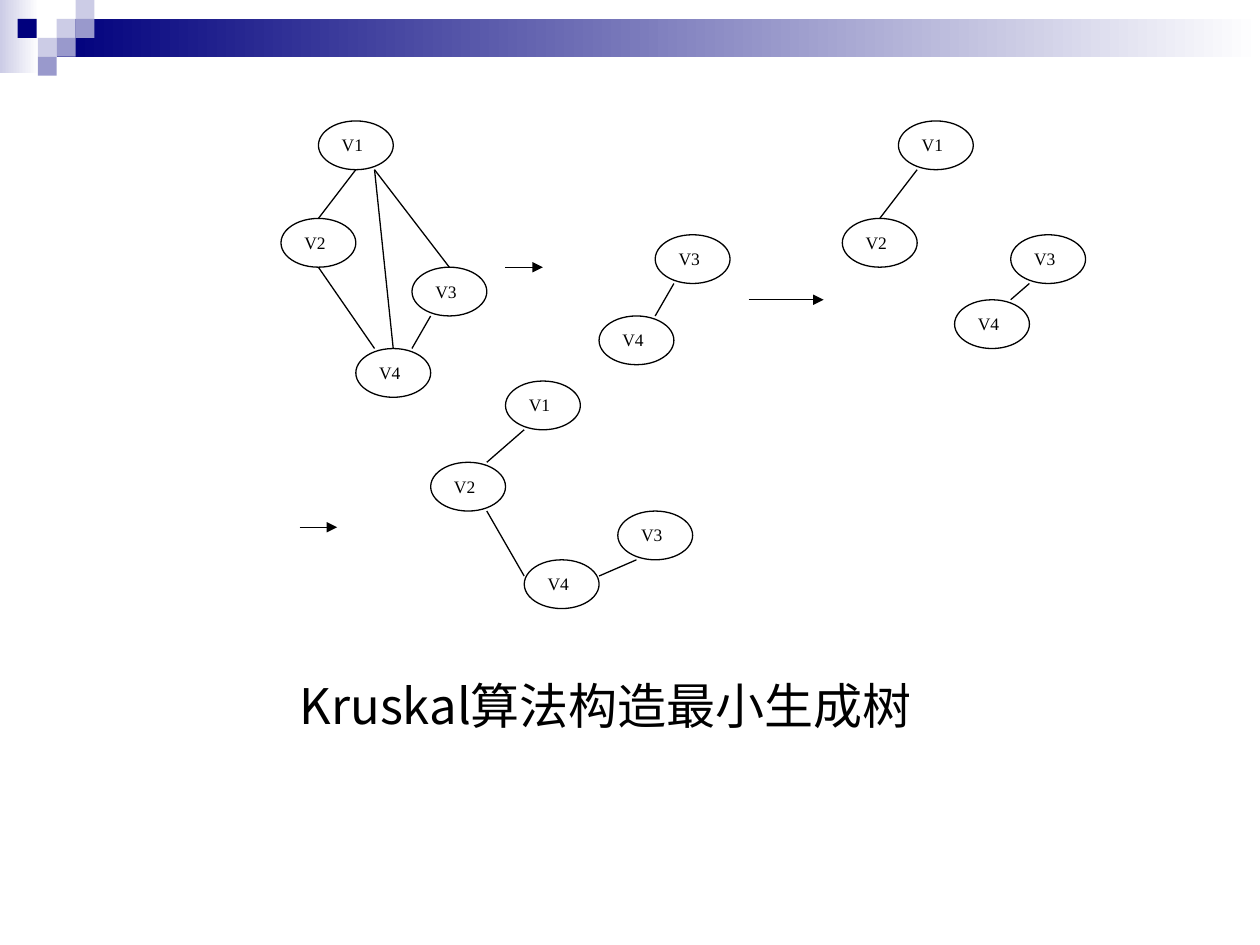
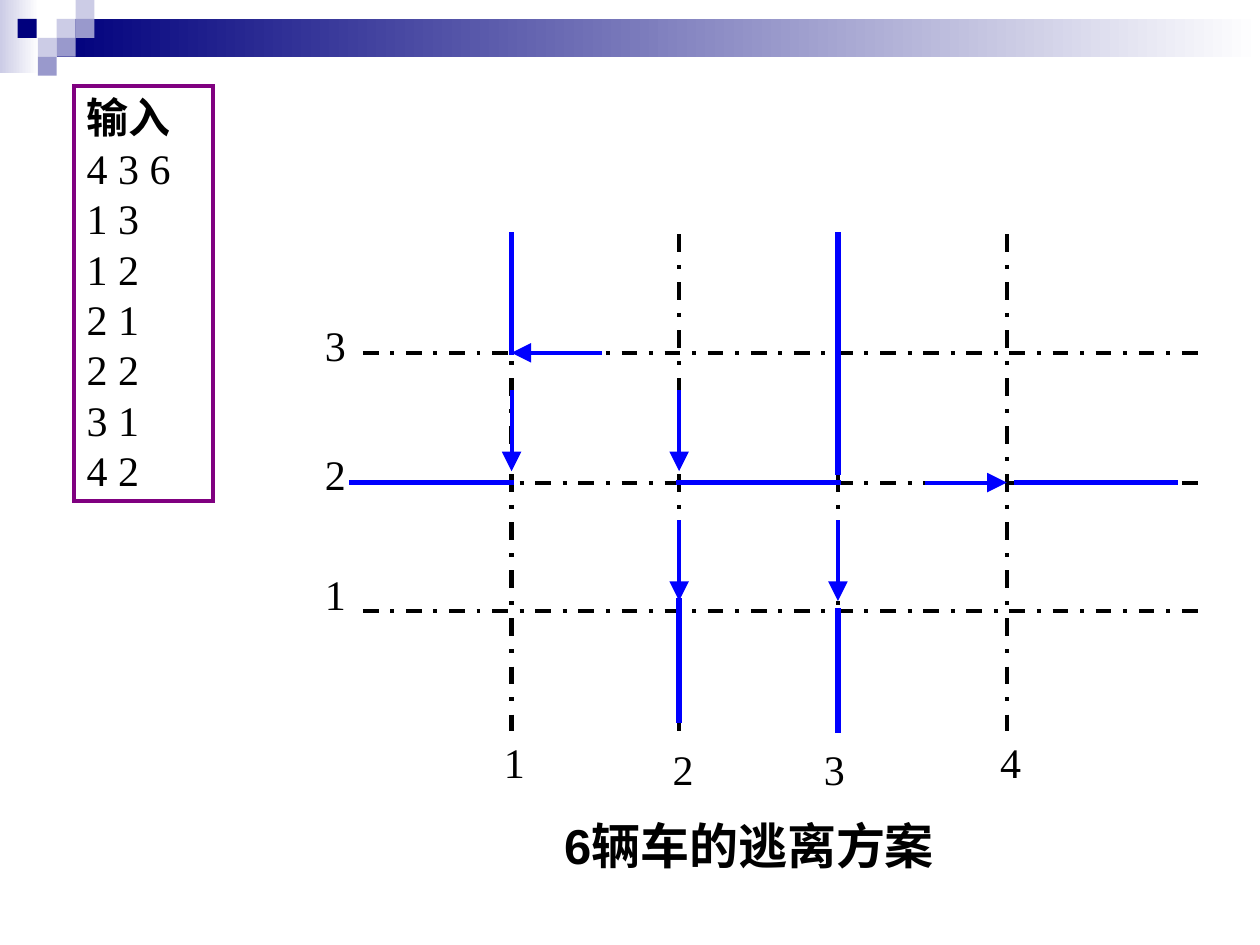
from lxml import etree
from pptx import Presentation
from pptx.dml.color import RGBColor
from pptx.enum.dml import MSO_LINE
from pptx.enum.shapes import MSO_CONNECTOR, MSO_SHAPE
from pptx.enum.text import MSO_ANCHOR, MSO_AUTO_SIZE, PP_ALIGN
from pptx.oxml.ns import qn
from pptx.util import Inches, Pt

RECTANGLE = MSO_SHAPE.RECTANGLE
OVAL = MSO_SHAPE.OVAL
STRAIGHT = MSO_CONNECTOR.STRAIGHT
DASH_DOT = MSO_LINE.DASH_DOT
TOP, MIDDLE = MSO_ANCHOR.TOP, MSO_ANCHOR.MIDDLE
LEFT, CENTER, JUSTIFY = PP_ALIGN.LEFT, PP_ALIGN.CENTER, PP_ALIGN.JUSTIFY
NO_FIT = MSO_AUTO_SIZE.NONE

COLORS = {
    "white": "FFFFFF",
    "text": "000000",
    "navy": "00007D",
    "lilac": "9999CC",
    "pale": "CCCCE6",
    "route": "0000FF",
    "frame": "800080",
}
SERIF, SANS, CHINESE = "Times New Roman", "Arial", "Noto Sans CJK SC"
STEP_X, STEP_Y = 0.1485, 0.129
NODE_COLUMNS, NODE_ROWS = 4, 3

NODES = [
    ("V1", 2, 0), ("V2", 0, 6), ("V4", 4, 14), ("V3", 7, 9),
    ("V3", 20, 7), ("V4", 17, 12),
    ("V1", 33, 0), ("V2", 30, 6), ("V4", 36, 11), ("V3", 39, 7),
    ("V1", 12, 16), ("V2", 8, 21), ("V4", 13, 27), ("V3", 18, 24),
]
EDGES = [
    (4, 3, 2, 6), (5, 3, 9, 9), (2, 9, 5, 14), (8, 12, 7, 14), (5, 3, 6, 14),
    (21, 10, 20, 12),
    (34, 3, 32, 6), (40, 10, 39, 11),
    (13, 19, 11, 21), (11, 24, 13, 28), (17, 28, 19, 27),
]
STEP_ARROWS = [(12, 9, 14, 9), (25, 11, 29, 11), (1, 25, 3, 25)]


def color(name):
    return RGBColor.from_string(COLORS[name])


def write(frame, text, size=24, font=SERIF, bold=False, align=LEFT,
          anchor=TOP, wrap=True, bold_first=False, line_height=None):
    frame.auto_size = NO_FIT
    frame.word_wrap = wrap
    frame.vertical_anchor = anchor
    frame.margin_left = frame.margin_right = Inches(0.1)
    frame.margin_top = frame.margin_bottom = Inches(0.05)
    for index, line in enumerate(text.split("\n")):
        para = frame.add_paragraph() if index else frame.paragraphs[0]
        para.alignment = align
        para.space_before = Pt(0)
        if line_height:
            para.line_spacing = Pt(line_height)
        span = para.add_run()
        span.text = line
        span.font.size = Pt(size)
        span.font.bold = bold or (bold_first and index == 0)
        span.font.color.rgb = color("text")
        span.font.name = font
        east_asian = etree.SubElement(span._r.get_or_add_rPr(), qn("a:ea"))
        east_asian.set("typeface", CHINESE)


def add_box(page, box, kind=RECTANGLE, fill=None, gradient=None,
            line=None, width=0.75):
    shape = page.shapes.add_shape(kind, *map(Inches, box))
    shape.shadow.inherit = False
    if gradient:
        shape.fill.gradient()
        shape.fill.gradient_angle = 0
        for stop, name in zip(shape.fill.gradient_stops, gradient):
            stop.color.rgb = color(name)
    elif fill:
        shape.fill.solid()
        shape.fill.fore_color.rgb = color(fill)
    else:
        shape.fill.background()
    if line:
        shape.line.color.rgb = color(line)
        shape.line.width = Pt(width)
        etree.SubElement(shape.line._get_or_add_ln(), qn("a:miter"))
    else:
        shape.line.fill.background()
    return shape


def add_line(page, ends, name="text", width=0.75, dash=None,
             arrow=None, cap="flat"):
    connector = page.shapes.add_connector(STRAIGHT, *map(Inches, ends))
    connector.line.color.rgb = color(name)
    connector.line.width = Pt(width)
    if dash:
        connector.line.dash_style = dash
    outline = connector.line._get_or_add_ln()
    outline.set("cap", cap)
    if arrow:
        tail = etree.SubElement(outline, qn("a:tailEnd"))
        tail.set("type", "triangle")
        tail.set("w", arrow)
        tail.set("len", arrow)
    etree.SubElement(connector._element.spPr, qn("a:effectLst"))


def place(placeholder, box):
    (placeholder.left, placeholder.top,
     placeholder.width, placeholder.height) = map(Inches, box)
    return placeholder.text_frame


def add_master_band(deck, page):
    tile = 0.15
    band = [
        add_box(page, (0, 0, 0.31, 0.58), gradient=("pale", "white")),
        add_box(page, (0.45, 0.15, 9.55, 0.3), gradient=("navy", "white")),
    ]
    tiles = [
        (0.45, 0.15, "pale"), (0.6, 0, "pale"), (0.6, 0.15, "lilac"),
        (0.3, 0.3, "pale"), (0.14, 0.15, "navy"), (0.45, 0.3, "lilac"),
        (0.3, 0.45, "lilac"),
    ]
    band += [add_box(page, (left, top, tile, tile), fill=name)
             for left, top, name in tiles]
    tree = deck.slide_master.shapes.element
    for number, shape in enumerate(band, start=100):
        shape.element.xpath("./p:nvSpPr/p:cNvPr")[0].set("id", str(number))
        tree.append(shape.element)


def draw_forests(page, box):
    add_box(page, box, fill="white")
    left, top = box[0] + 0.06, box[1] + 0.13

    def spot(column, row):
        return left + column * STEP_X, top + row * STEP_Y

    for label, column, row in NODES:
        size = (NODE_COLUMNS * STEP_X, NODE_ROWS * STEP_Y)
        node = add_box(page, spot(column, row) + size, OVAL,
                       fill="white", line="text")
        write(node.text_frame, label, size=10, align=JUSTIFY)
    for lines, arrow in ((EDGES, None), (STEP_ARROWS, "med")):
        for ends in lines:
            add_line(page, spot(*ends[:2]) + spot(*ends[2:]), arrow=arrow)


def draw_input(page, box):
    panel = add_box(page, box, line="frame", width=2.25)
    write(panel.text_frame, "输入\n4 3 6\n1 3\n1 2\n2 1\n2 2\n3 1\n4 2",
          bold_first=True, line_height=28.8)


def draw_street_map(page, box):
    left, top, width, height = box
    right, bottom = left + width, top + height
    row3, row2, row1 = (top + offset for offset in (0.94, 1.97, 2.99))
    columns = [left + offset for offset in (1.58, 2.91, 4.17, 5.51)]
    col1, col2, col3, col4 = columns

    for row in (row3, row2, row1):
        add_line(page, (left + 0.4, row, right, row), width=2.25, dash=DASH_DOT)
    for column in columns:
        add_line(page, (column, top, column, bottom), width=2.5, dash=DASH_DOT)

    routes = [
        (col1, top, col1, row3),
        (col3, top, col3, row2 - 0.08),
        (col3, row2, col2, row2),
        (right - 0.24, row2, col4 + 0.08, row2),
        (col2, row1 - 0.08, col2, bottom - 0.08),
        (col3, row1, col3, bottom),
        (col1, row2, left + 0.31, row2),
    ]
    cars = [(col1, row3), (col2, row3), (col2, row2), (col3, row2)]
    arrows = [(x, y + 0.31, x, y + 0.94) for x, y in cars]
    arrows += [(col1 + 0.7, row3, col1, row3), (col4 - 0.63, row2, col4, row2)]
    for ends in routes:
        add_line(page, ends, "route", 3, cap="sq")
    for ends in arrows:
        add_line(page, ends, "route", 2.25, arrow="lg", cap="sq")

    labels = [
        ("1", 0, 2.6), ("2", 0, 1.65), ("3", 0, 0.63),
        ("1", 1.42, 3.94), ("2", 2.76, 3.99), ("3", 3.96, 3.99), ("4", 5.36, 3.94),
    ]
    for label, x, y in labels:
        text_box = page.shapes.add_textbox(
            *map(Inches, (left + x, top + y, 0.36, 0.5)))
        write(text_box.text_frame, label, wrap=False)


def build_kruskal_page(page):
    title = page.shapes.title.element
    title.getparent().remove(title)
    frame = place(page.placeholders[1], (0.5, 5.31, 9, 1.1))
    properties = frame.paragraphs[0]._p.get_or_add_pPr()
    properties.set("marL", "0")
    properties.set("indent", "0")
    etree.SubElement(properties, qn("a:buNone"))
    write(frame, "Kruskal算法构造最小生成树　", size=28, font=CHINESE, align=CENTER)
    draw_forests(page, (2.17, 0.83, 6.83, 3.99))


def build_escape_page(page):
    frame = place(page.shapes.title, (3.9, 6.43, 4.09, 0.55))
    write(frame, "6辆车的逃离方案", size=28, font=SANS, bold=True,
          align=CENTER, anchor=MIDDLE)
    draw_street_map(page, (2.48, 1.86, 7.09, 3.94))
    draw_input(page, (0.59, 0.68, 1.1, 3.3))


def main():
    deck = Presentation()
    deck.slide_width, deck.slide_height = Inches(10), Inches(7.5)
    kruskal_page = deck.slides.add_slide(deck.slide_layouts[1])
    add_master_band(deck, kruskal_page)
    build_kruskal_page(kruskal_page)
    build_escape_page(deck.slides.add_slide(deck.slide_layouts[5]))
    deck.save("out.pptx")


if __name__ == "__main__":
    main()
